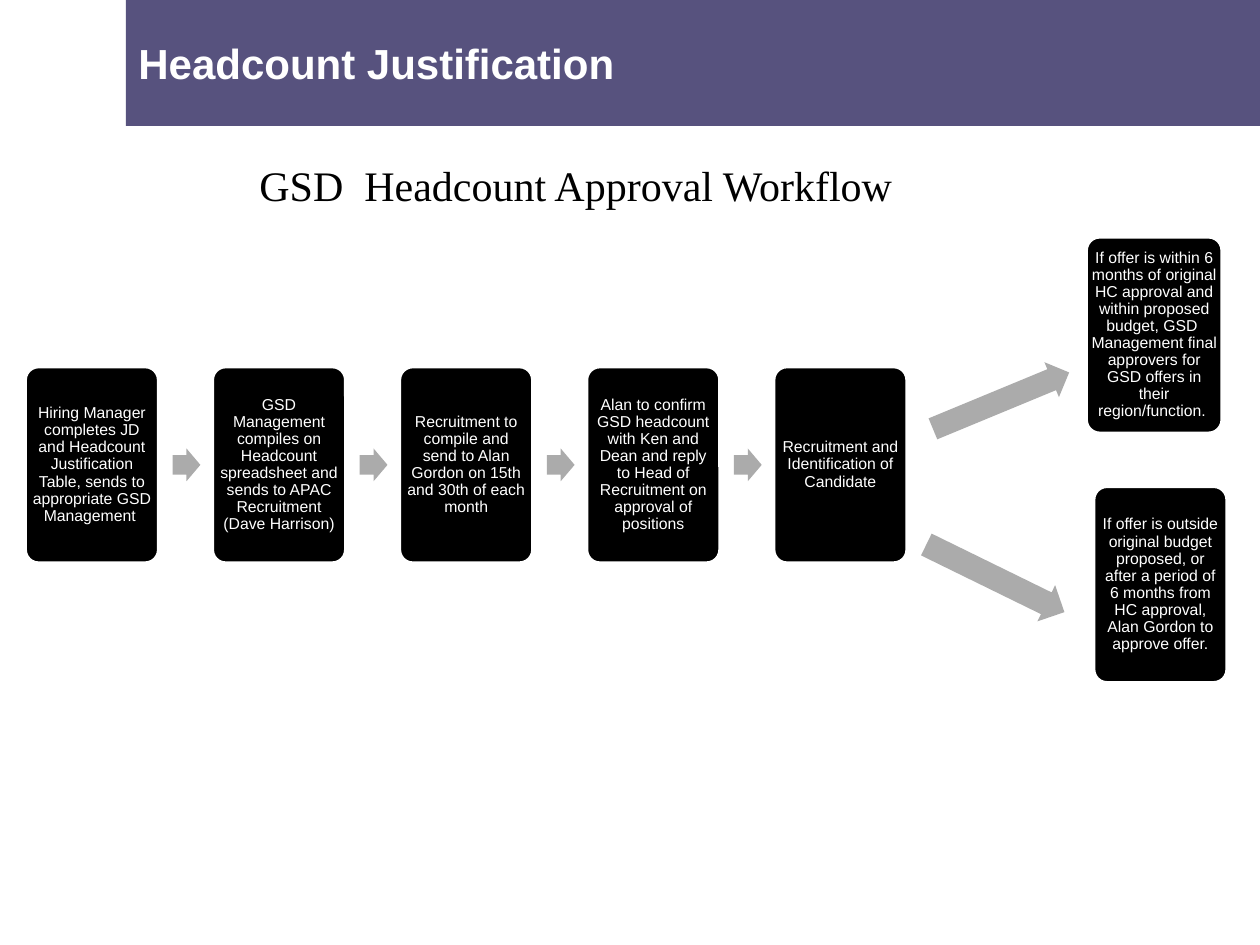
from pptx import Presentation
from pptx import util as u
from pptx.dml.color import RGBColor
from pptx.enum import shapes, text

COLORS = {"banner": "57527E", "box": "000000", "arrow": "ABABAB", "light": "FFFFFF", "dark": "000000"}
BOX_WIDTH, BOX_HEIGHT, BOX_TOP = 1.06, 1.56, 2.91
FIRST_LEFT, STEP_PITCH = 0.2, 1.485
STEPS = [
    "Hiring Manager completes JD and Headcount Justification Table, sends to appropriate GSD Management ",
    "GSD Management compiles on Headcount spreadsheet and sends to APAC Recruitment (Dave Harrison)",
    "Recruitment to compile and send to Alan Gordon on 15th and 30th of each month",
    "Alan to confirm GSD headcount with Ken and Dean and reply to Head of Recruitment on approval of positions",
    "Recruitment and Identification of Candidate",
]
OUTCOMES = [
    (8.62, 1.88, 1.08, "If offer is within 6 months of original HC approval and within proposed budget, "
     "GSD  Management final approvers for GSD offers in their region/function. "),
    (8.68, 3.86, BOX_WIDTH, "If offer is outside original budget proposed, or after a period of 6 months "
     "from HC approval, Alan Gordon to approve offer."),
]
BRANCH_ARROWS = [(7.36, 3.03, 1.17, 0.3, 337.5), (7.29, 4.43, 1.22, 0.32, 26.1)]

presentation = Presentation()
presentation.slide_width, presentation.slide_height = u.Inches(10), u.Inches(7.5)
slide = presentation.slides.add_slide(presentation.slide_layouts[6])


def add_filled(kind, bounds, fill, adjustments=(), outline=None):
    """Add a flat preset shape with an optional 2 pt outline."""
    shape = slide.shapes.add_shape(kind, *map(u.Inches, bounds))
    shape.shadow.inherit = False
    for index, value in enumerate(adjustments):
        shape.adjustments[index] = value
    shape.fill.solid()
    shape.fill.fore_color.rgb = RGBColor.from_string(COLORS[fill])
    if outline:
        shape.line.color.rgb = RGBColor.from_string(COLORS[outline])
        shape.line.width = u.Pt(2)
    else:
        shape.line.fill.background()
    return shape


def write(shape, wording, color, paragraph_format, font_format, frame_format):
    """Put one formatted paragraph into a shape."""
    frame = shape.text_frame
    paragraph = frame.paragraphs[0]
    run = paragraph.add_run()
    run.text = wording
    run.font.color.rgb = RGBColor.from_string(COLORS[color])
    for target, values in ((frame, frame_format), (paragraph, paragraph_format), (run.font, font_format)):
        for name, value in values.items():
            setattr(target, name, value)


LEFT = {"alignment": text.PP_ALIGN.LEFT}
MIDDLE = {"word_wrap": True, "vertical_anchor": text.MSO_ANCHOR.MIDDLE}
banner = add_filled(shapes.MSO_SHAPE.RECTANGLE, (1, 0, 9, 1), "banner")
write(banner, "Headcount Justification", "light", LEFT,
      {"name": "Arial", "size": u.Pt(24), "bold": True}, MIDDLE)

heading = slide.shapes.add_textbox(*map(u.Inches, (1.96, 1.22, 5.75, 0.5)))
write(heading, "GSD  Headcount Approval Workflow", "dark", LEFT,
      {"name": "Times New Roman", "size": u.Pt(24)},
      {"word_wrap": True, "auto_size": text.MSO_AUTO_SIZE.SHAPE_TO_FIT_TEXT})

BOX_FRAME = {**MIDDLE, **{f"margin_{side}": u.Inches(0.01) for side in ("left", "top", "right", "bottom")}}
boxes = [(FIRST_LEFT + i * STEP_PITCH, BOX_TOP, BOX_WIDTH, step) for i, step in enumerate(STEPS)]
for left, top, width, wording in boxes + OUTCOMES:
    box = add_filled(shapes.MSO_SHAPE.ROUNDED_RECTANGLE, (left, top, width, BOX_HEIGHT),
                     "box", [0.1], "light")
    write(box, wording, "light", {"alignment": text.PP_ALIGN.CENTER, "line_spacing": 0.9},
          {"name": "Arial", "size": u.Pt(9)}, BOX_FRAME)

step_arrows = [(left + 1.17, 3.56, 0.22, 0.26, 0) for left, *_ in boxes[:-1]]
for *bounds, rotation in step_arrows + BRANCH_ARROWS:
    arrow = add_filled(shapes.MSO_SHAPE.RIGHT_ARROW, bounds, "arrow", [0.6, 0.5])
    arrow.rotation = rotation

presentation.save("out.pptx")
